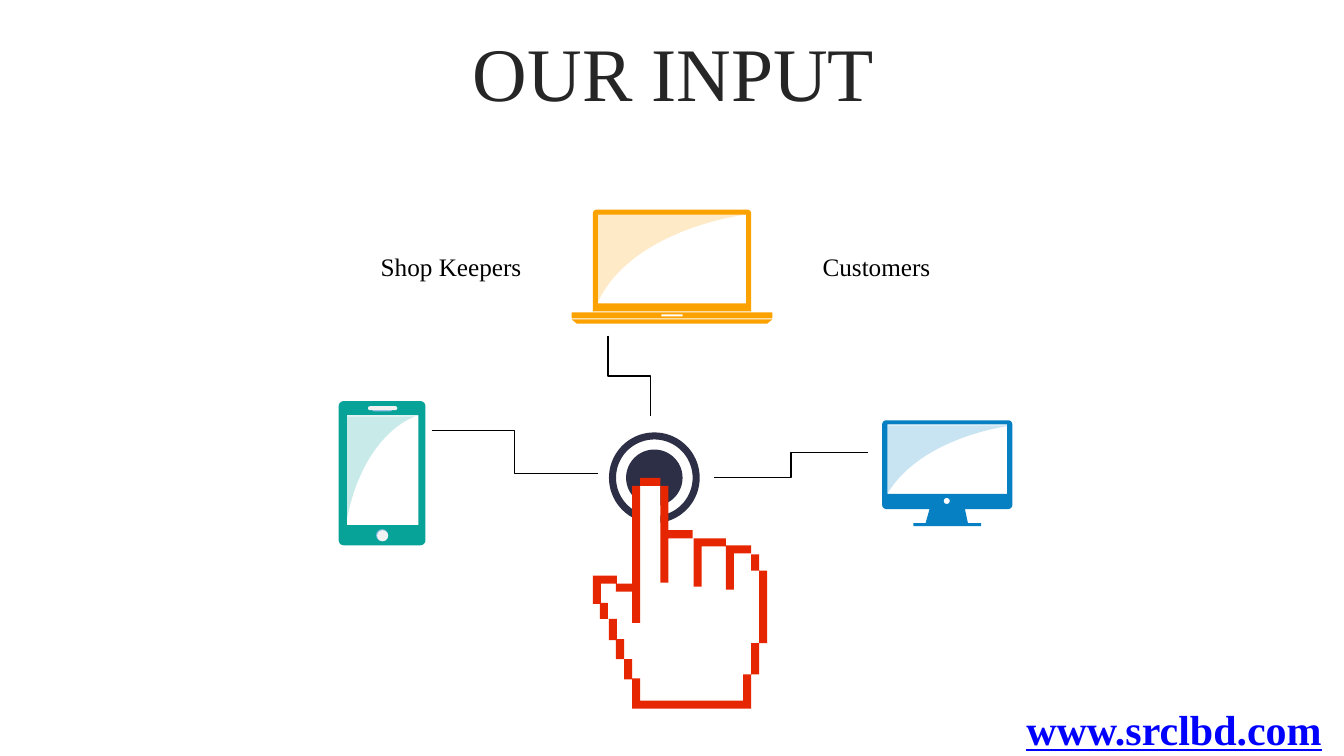
from math import cos, pi, sin

from lxml import etree
from pptx import Presentation
from pptx.dml.color import RGBColor
from pptx.enum.shapes import MSO_CONNECTOR, MSO_SHAPE
from pptx.enum.text import MSO_ANCHOR, MSO_AUTO_SIZE, PP_ALIGN
from pptx.oxml.ns import qn
from pptx.util import Inches, Pt

ELBOW = MSO_CONNECTOR.ELBOW
OVAL, PILL = MSO_SHAPE.OVAL, MSO_SHAPE.ROUNDED_RECTANGLE
MIDDLE, TOP = MSO_ANCHOR.MIDDLE, MSO_ANCHOR.TOP
GROW, FIXED = MSO_AUTO_SIZE.SHAPE_TO_FIT_TEXT, MSO_AUTO_SIZE.NONE
LEFT, CENTER, RIGHT = PP_ALIGN.LEFT, PP_ALIGN.CENTER, PP_ALIGN.RIGHT

FONT = "Times New Roman"
COLORS = {
    "title": "262626", "black": "000000", "white": "FFFFFF", "link": "0000FF",
    "button": "2C2F45", "hand": "E62601", "phone": "07A398",
    "laptop": "FBA200", "screen": "0680C3", "shade": "87BCE6", "pale": "F2F2F2",
}


# Outlines, as lists of points in inches
def steps(x, y, *moves):
    """Square-cornered outline: moves are new x and new y by turns."""
    points = [(x, y)]
    for i, move in enumerate(moves):
        x, y = (x, move) if i % 2 else (move, y)
        points.append((x, y))
    return points


def box(left, top, right, bottom):
    return steps(left, top, right, bottom, left)


def arc(x, y, radius, start, sweep, count):
    turns = [start + sweep * i / count for i in range(count + 1)]
    return [(x + radius * cos(a), y + radius * sin(a)) for a in turns]


def disc(x, y, radius):
    return arc(x, y, radius, 0, 2 * pi, 72)[:-1]


def pane(left, top, right, bottom, radius, square=False):
    """Rounded box; square keeps the two lower corners sharp."""
    x1, x2, y1 = left + radius, right - radius, top + radius
    upper = arc(x1, y1, radius, pi, pi / 2, 8) + arc(x2, y1, radius, -pi / 2, pi / 2, 8)
    if square:
        return upper + [(right, bottom), (left, bottom)]
    y2 = bottom - radius
    return upper + arc(x2, y2, radius, 0, pi / 2, 8) + arc(x1, y2, radius, pi / 2, pi / 2, 8)


def glare(left, top, bottom, right, bend1, bend2):
    """Corner of light, bounded by a cubic curve."""
    knots = ((left, bottom), bend1, bend2, (right, top))
    points = [(left, top)]
    for i in range(41):
        t = i / 40
        parts = ((1 - t) ** 3, 3 * t * (1 - t) ** 2, 3 * t * t * (1 - t), t ** 3)
        points.append(tuple(sum(p * k[n] for p, k in zip(parts, knots)) for n in (0, 1)))
    return points


class Deck:
    def __init__(self):
        self.file = Presentation()
        self.file.slide_width, self.file.slide_height = Inches(13.33), Inches(7.5)
        self.slide = self.file.slides.add_slide(self.file.slide_layouts[6])
        self.shapes = self.slide.shapes

    def paint(self, shape, color, alpha=None):
        shape.shadow.inherit = False
        shape.line.fill.background()
        shape.fill.solid()
        shape.fill.fore_color.rgb = RGBColor.from_string(COLORS[color])
        if alpha:
            tint = shape.fill._xPr.find(".//" + qn("a:srgbClr"))
            etree.SubElement(tint, qn("a:alpha")).set("val", str(alpha * 1000))
        return shape

    def draw(self, color, *outlines, alpha=None):
        pen = None
        for outline in outlines:
            points = [(Inches(x), Inches(y)) for x, y in outline]
            if pen is None:
                pen = self.shapes.build_freeform(*points[0], scale=1.0)
            else:
                pen.move_to(*points[0])
            pen.add_line_segments(points[1:], close=True)
        return self.paint(pen.convert_to_shape(), color, alpha)

    def form(self, kind, color, *place):
        shape = self.shapes.add_shape(kind, *map(Inches, place))
        if kind == PILL:
            shape.adjustments[0] = 0.5
        return self.paint(shape, color)

    def group(self, *parts):
        self.shapes.add_group_shape(parts)

    def link(self, x1, y1, x2, y2, turn=0):
        line = self.shapes.add_connector(ELBOW, *map(Inches, (x1, y1, x2, y2)))
        line.line.color.rgb = RGBColor.from_string(COLORS["black"])
        line.line.width = Pt(1)
        props = line._element.spPr
        etree.SubElement(props, qn("a:effectLst"))
        if turn:
            props.find(qn("a:xfrm")).set("rot", str(turn * 60000))

    def text(self, words, *place, size=18, color="black", align=LEFT, anchor=MIDDLE,
             fit=GROW, bold=False, under=False, space=1.0):
        frame = self.shapes.add_textbox(*map(Inches, place)).text_frame
        frame.word_wrap, frame.auto_size = True, fit
        frame.vertical_anchor = anchor
        para = frame.paragraphs[0]
        para.alignment, para.line_spacing = align, space
        run = para.add_run()
        run.text = words
        font = run.font
        font.name, font.size = FONT, Pt(size)
        font.bold, font.underline = bold, under
        font.color.rgb = RGBColor.from_string(COLORS[color])


def main():
    deck = Deck()

    # Button and title
    deck.draw("button", *[disc(6.49, 4.74, r) for r in (0.45, 0.38, 0.28)])
    deck.text("OUR INPUT", 0.35, 0.37, 12.66, 0.79, size=54, color="title",
              align=CENTER, fit=FIXED, space=0.9)

    # Pointing hand
    palm = steps(6.35, 4.82, 6.55, 5.78, 6.63, 5.34, 6.88, 5.78, 6.95, 5.4, 7.2, 5.78,
                 7.21, 5.48, 7.45, 5.66, 7.59, 6.38, 7.45, 6.69, 7.41, 6.97, 6.32, 6.73,
                 6.27, 6.54, 6.17, 6.34, 6.07, 6.14, 5.99, 5.99, 5.89, 5.79, 6.14, 5.8,
                 6.24, 5.82, 6.32, 5.78, 6.35)
    wrist = steps(7.45, 6.38, 7.53, 6.69, 7.45, 7.03, 6.27, 6.73, 6.35, 6.95, 7.37, 6.69, 7.45)
    heel = steps(6.04, 6.14, 6.12, 6.34, 6.19, 6.54, 6.27, 6.74, 6.19, 6.54, 6.11, 6.35, 6.04)
    knuckles = steps(6.88, 5.34, 7.2, 5.41, 7.45, 5.49, 7.28, 5.85, 7.2, 5.42, 6.96, 5.82, 6.88)
    finger = steps(6.55, 4.82, 6.63, 5.26, 6.87, 5.34, 6.63, 5.78, 6.55)
    thumb = steps(6.27, 4.82, 6.35, 6.18, 6.27, 5.87, 6.11, 5.79, 5.96, 5.98, 6.03, 6.14,
                  5.95, 5.99, 5.88, 5.71, 6.12, 5.79, 6.27)
    edges = [box(7.53, 5.66, 7.61, 6.38), box(7.45, 5.5, 7.53, 5.66),
             box(6.35, 4.74, 6.55, 4.82)]
    deck.group(deck.draw("white", palm),
               deck.draw("hand", wrist, heel, knuckles, finger, thumb, *edges))

    # Phone
    deck.group(
        deck.draw("phone", pane(3.36, 3.98, 4.22, 5.41, 0.05), box(3.44, 4.12, 4.15, 5.21)),
        deck.form(PILL, "shade", 3.69, 4.04, 0.2, 0.04),
        deck.form(OVAL, "shade", 3.73, 5.25, 0.12, 0.12),
        deck.draw("phone", glare(3.43, 4.13, 5.21, 4.12, (3.54, 4.56), (3.86, 4.23)), alpha=22),
        deck.form(PILL, "pale", 3.65, 4.03, 0.29, 0.04),
        deck.form(OVAL, "pale", 3.74, 5.26, 0.11, 0.11))

    # Laptop
    deck.group(
        deck.draw("laptop", [(5.67, 3.17), (7.66, 3.17), (7.61, 3.21), (5.72, 3.21)],
                  box(5.67, 3.1, 7.66, 3.16), box(6.56, 3.12, 6.77, 3.14),
                  pane(5.88, 2.08, 7.45, 3.09, 0.04, square=True),
                  box(5.93, 2.13, 7.4, 3.01)),
        deck.draw("laptop", glare(5.93, 2.12, 3, 7.45, (6.17, 2.47), (6.87, 2.2)), alpha=22))

    # Desktop screen
    stand = [(9.22, 5.05), (9.57, 5.05), (9.6, 5.19), (9.73, 5.19), (9.73, 5.22),
             (9.06, 5.22), (9.06, 5.19), (9.18, 5.19)]
    deck.group(
        deck.draw("screen", pane(8.75, 4.17, 10.04, 5.05, 0.04), stand,
                  box(8.8, 4.21, 9.99, 4.9), disc(9.39, 4.97, 0.03)),
        deck.draw("screen", glare(8.75, 4.22, 5, 10.04, (8.95, 4.53), (9.55, 4.29)), alpha=22))

    # Links from the button to the devices
    deck.link(4.28, 4.27, 5.93, 4.7)
    deck.link(6.64, 3.52, 5.84, 3.94, turn=270)
    deck.link(7.08, 4.74, 8.61, 4.49)

    # Labels and web address
    deck.text("Customers", 8.06, 2.44, 2.71, 0.4)
    deck.text("Shop Keepers", 2.56, 2.44, 2.71, 0.4, align=RIGHT)
    deck.text("www.srclbd.com", 10.08, 6.93, 3.13, 0.61, size=30, color="link",
              align=RIGHT, anchor=TOP, bold=True, under=True)

    deck.file.save("out.pptx")


if __name__ == "__main__":
    main()
